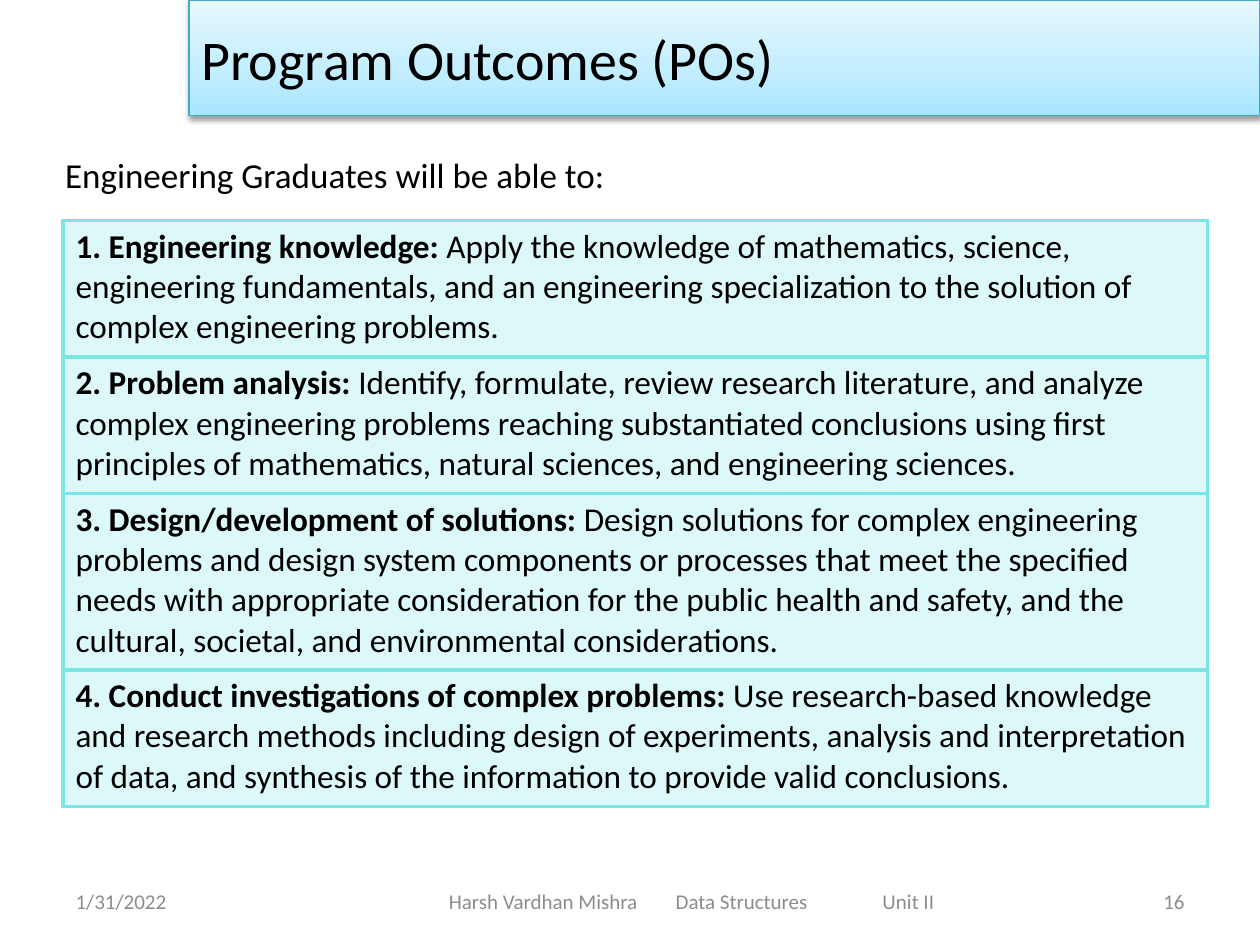
from copy import deepcopy

from lxml.etree import SubElement
from pptx import Presentation
from pptx.dml.color import RGBColor
from pptx.enum.shapes import MSO_SHAPE as Shape
from pptx.enum.text import MSO_ANCHOR as Anchor, PP_ALIGN as Align
from pptx.oxml.ns import qn
from pptx.util import Inches, Pt

BLACK = RGBColor(0x00, 0x00, 0x00)
GREY = RGBColor(0x8C, 0x8C, 0x8C)
AQUA = RGBColor(0x7B, 0xE5, 0xE5)
BANNER_EDGE = RGBColor(0x46, 0xAA, 0xC5)
BANNER_STOPS = [
    (0, RGBColor(0xA7, 0xE6, 0xFF)),
    (0.35, RGBColor(0xC1, 0xED, 0xFF)),
    (1, RGBColor(0xE7, 0xF8, 0xFF)),
]

OUTCOMES = [
    ("1. Engineering knowledge: ",
     "Apply the knowledge of mathematics, science, engineering fundamentals, and an "
     "engineering specialization to the solution of complex engineering problems."),
    ("2. Problem analysis:",
     " Identify, formulate, review research literature, and analyze complex engineering "
     "problems reaching substantiated conclusions using first principles of mathematics, "
     "natural sciences, and engineering sciences."),
    ("3. Design/development of solutions:",
     " Design solutions for complex engineering problems and design system components or "
     "processes that meet the specified needs with appropriate consideration for the public "
     "health and safety, and the cultural, societal, and environmental considerations."),
    ("4. Conduct investigations of complex problems: ",
     "Use research-based knowledge and research methods including design of experiments, "
     "analysis and interpretation of data, and synthesis of the information to provide "
     "valid conclusions."),
]
OUTCOME_ROWS = [13, 13, 16.8, 13]


def grid(units):
    """Length of grid units; the slide is 120 columns by 90 rows."""
    return Inches(units / 12)


class Deck:
    font = "Calibri"

    def __init__(self):
        self.prs = Presentation()
        self.prs.slide_width, self.prs.slide_height = grid(120), grid(90)
        self.slide = self.prs.slides.add_slide(self.prs.slide_layouts[6])

    def add_words(self, paragraph, words, size, color=BLACK, bold=False):
        run = paragraph.add_run()
        run.text = words
        run.font.name, run.font.size, run.font.bold = self.font, Pt(size), bold
        run.font.color.rgb = color

    def text(self, box, words, size, color=BLACK, align=Align.LEFT,
             anchor=Anchor.TOP, wrap=True, inset=1.2, tabs=()):
        frame = self.slide.shapes.add_textbox(*map(grid, box)).text_frame
        frame.word_wrap, frame.vertical_anchor = wrap, anchor
        frame.margin_left = grid(inset)
        line = frame.paragraphs[0]
        line.alignment = align
        if tabs:
            tab_list = SubElement(line._p.get_or_add_pPr(), qn("a:tabLst"))
            for stop in tabs:
                SubElement(tab_list, qn("a:tab"), pos=str(grid(stop)), algn="l")
        self.add_words(line, words, size, color)

    def banner(self, box, title, size):
        banner = self.slide.shapes.add_shape(Shape.RECTANGLE, *map(grid, box))
        banner.line.color.rgb, banner.line.width = BANNER_EDGE, Pt(0.75)

        # Three-stop gradient, running upwards
        banner.fill.gradient()
        banner.fill.gradient_angle = 90
        properties = banner._element.spPr
        stop_list = properties.find(qn("a:gradFill")).find(qn("a:gsLst"))
        stop_list.append(deepcopy(stop_list[0]))
        for stop, (position, color) in zip(banner.fill.gradient_stops, BANNER_STOPS):
            stop.position, stop.color.rgb = position, color

        # Soft shadow below
        banner.shadow.inherit = False
        shadow = SubElement(properties.find(qn("a:effectLst")), qn("a:outerShdw"),
                            blurRad=str(Pt(3.1)), dist=str(Pt(1.6)),
                            dir="5400000", rotWithShape="0")
        black = SubElement(shadow, qn("a:srgbClr"), val=str(BLACK))
        SubElement(black, qn("a:alpha"), val="38000")

        frame = banner.text_frame
        frame.word_wrap, frame.vertical_anchor = True, Anchor.MIDDLE
        frame.paragraphs[0].alignment = Align.LEFT
        self.add_words(frame.paragraphs[0], title, size)

    def style_cell(self, cell, color):
        properties = cell._tc.get_or_add_tcPr()
        for side in ("lnL", "lnR", "lnT", "lnB"):
            border = SubElement(properties, qn(f"a:{side}"), w=str(Pt(2.25)))
            paint = SubElement(border, qn("a:solidFill"))
            SubElement(paint, qn("a:srgbClr"), val=str(color))
        cell.fill.solid()
        cell.fill.fore_color.rgb = color
        tint = properties.find(qn("a:solidFill")).find(qn("a:srgbClr"))
        SubElement(tint, qn("a:alpha"), val="25000")

    def table(self, left, top, width, heights, entries, size):
        table = self.slide.shapes.add_table(
            len(entries), 1, grid(left), grid(top), grid(width), grid(sum(heights))).table
        table.first_row = table.horz_banding = False
        for row, height, (heading, detail) in zip(table.rows, heights, entries):
            row.height = grid(height)
            cell = row.cells[0]
            self.style_cell(cell, AQUA)
            line = cell.text_frame.paragraphs[0]
            self.add_words(line, heading, size, bold=True)
            self.add_words(line, detail, size)

    def footer(self, left, width, words, **options):
        self.text((left, 83.4, width, 4.8), words, 12, GREY,
                  anchor=Anchor.MIDDLE, **options)


def main():
    deck = Deck()

    # Introduction and outcomes
    deck.text((5, 14, 54.2, 5.3), "Engineering Graduates will be able to:", 20, wrap=False)
    deck.table(6, 21, 109, OUTCOME_ROWS, OUTCOMES, 19)

    # Title
    deck.banner((18, 0, 102, 11), "Program Outcomes (POs)", 32)

    # Footer: date, course line, slide number
    deck.footer(6, 28, "1/31/2022")
    deck.footer(33, 66, "Harsh Vardhan Mishra\tData Structures\tUnit II",
                inset=9.75, tabs=(21.6, 41.3))
    deck.footer(86, 28, "16", align=Align.RIGHT)

    deck.prs.save("out.pptx")


if __name__ == "__main__":
    main()
